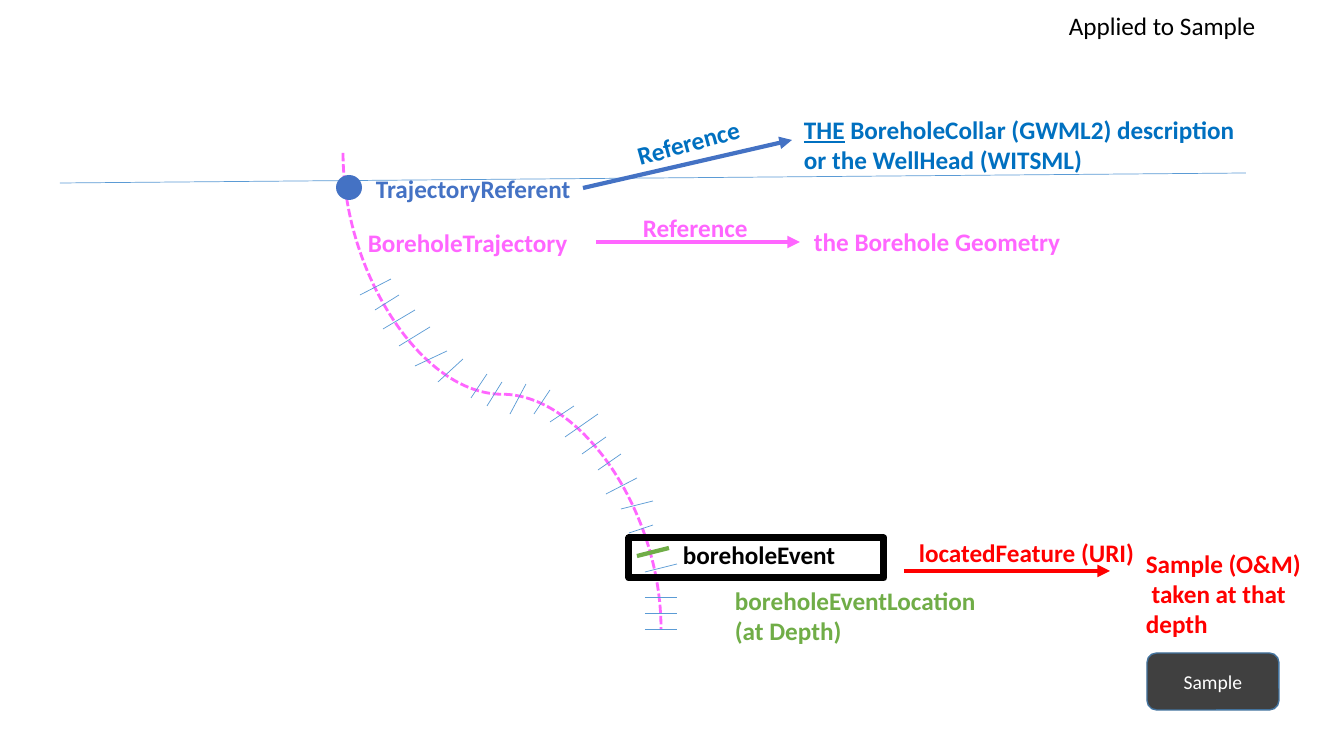
import pptx
import pptx.dml.color
import pptx.enum.dml
import pptx.enum.shapes
import pptx.enum.text
import pptx.oxml
import pptx.oxml.ns
import pptx.util

EMU_PER_PX = 914400 / 100.8
FONT = "Calibri"
COLOURS = {
    "pink": "FF66FF",
    "tick": "5B9BD5",
    "green": "70AD47",
    "referent": "4472C4",
    "collar": "0070C0",
    "red": "FF0000",
    "black": "000000",
    "white": "FFFFFF",
    "sample": "404040",
    "sample_edge": "43739E",
}
SLOPED_TICKS = [
    (360, 295, 391, 279), (375, 310, 399, 295), (383, 329, 415, 310),
    (399, 346, 430, 327), (415, 366, 447, 351), (438, 382, 463, 359),
    (471, 398, 487, 374), (487, 406, 502, 382), (510, 414, 526, 384),
    (534, 414, 550, 390), (550, 422, 574, 406), (565, 437, 598, 414),
    (582, 454, 606, 437), (598, 470, 621, 454), (606, 494, 637, 478),
    (621, 509, 653, 501), (629, 533, 653, 525), (637, 557, 669, 549),
    (645, 572, 677, 564),
]
FLAT_TICKS = [(645, 597 + 16 * step, 677, 597 + 16 * step) for step in range(3)]
GROUND = (60, 183, 1246, 173)


def px(length):
    return pptx.util.Emu(round(length * EMU_PER_PX))


def rgb(colour):
    return pptx.dml.color.RGBColor.from_string(COLOURS[colour])


def add_line(page, ends, colour, weight, arrow=False, curved=False):
    kinds = pptx.enum.shapes.MSO_CONNECTOR
    kind = kinds.CURVE if curved else kinds.STRAIGHT
    line = page.shapes.add_connector(kind, *map(px, ends))
    line.line.color.rgb = rgb(colour)
    line.line.width = pptx.util.Pt(weight)
    properties = line._element.spPr
    if arrow:
        outline = properties.find(pptx.oxml.ns.qn("a:ln"))
        head = pptx.oxml.parse_xml(
            f'<a:tailEnd {pptx.oxml.ns.nsdecls("a")} type="triangle"/>')
        outline.append(head)
    properties.append(pptx.oxml.parse_xml(
        f'<a:effectLst {pptx.oxml.ns.nsdecls("a")}/>'))
    return line


def add_trajectory(page):
    """Draw the dashed S-curve: a sideways curve turned to run downwards."""
    curve = add_line(page, (740, 232, 264, 550), "pink", 2, curved=True)
    curve.line.dash_style = pptx.enum.dml.MSO_LINE.SQUARE_DOT
    properties = curve._element.spPr
    properties.find(pptx.oxml.ns.qn("a:xfrm")).set("rot", str(270 * 60000))
    adjustments = properties.find(".//" + pptx.oxml.ns.qn("a:avLst"))
    adjustments.append(pptx.oxml.parse_xml(
        f'<a:gd {pptx.oxml.ns.nsdecls("a")} name="adj1" fmla="val 50700"/>'))


def add_span(para, text, colour, size=18, bold=True, underline=False):
    span = para.add_run()
    span.text = text
    font = span.font
    font.name = FONT
    font.size = pptx.util.Pt(size)
    font.color.rgb = rgb(colour)
    font.bold = bold
    if underline:
        font.underline = True


def add_label(page, area, lines, colour, bold=True, wrap=False, rotation=0):
    """Add a text box; a line is a list of (text, underlined) spans or a string."""
    box = page.shapes.add_textbox(*map(px, area))
    box.rotation = rotation
    frame = box.text_frame
    frame.word_wrap = wrap
    frame.auto_size = pptx.enum.text.MSO_AUTO_SIZE.SHAPE_TO_FIT_TEXT
    for index, line in enumerate(lines):
        para = frame.add_paragraph() if index else frame.paragraphs[0]
        spans = [(line, False)] if isinstance(line, str) else line
        for text, underline in spans:
            add_span(para, text, colour, bold=bold, underline=underline)


def add_figure(page, kind, area, fill=None, edge=None, weight=1):
    figure = page.shapes.add_shape(kind, *map(px, area))
    figure.shadow.inherit = False
    if fill:
        figure.fill.solid()
        figure.fill.fore_color.rgb = rgb(fill)
    else:
        figure.fill.background()
    if edge:
        figure.line.color.rgb = rgb(edge)
        figure.line.width = pptx.util.Pt(weight)
    else:
        figure.line.fill.background()
    return figure


def add_sample(page, kind):
    sample = add_figure(page, kind, (1147, 653, 132, 57), "sample", "sample_edge")
    frame = sample.text_frame
    frame.vertical_anchor = pptx.enum.text.MSO_ANCHOR.MIDDLE
    para = frame.paragraphs[0]
    para.alignment = pptx.enum.text.PP_ALIGN.CENTER
    add_span(para, "Sample", "white", size=14, bold=False)


def main():
    deck = pptx.Presentation()
    deck.slide_width, deck.slide_height = px(1344), px(756)
    page = deck.slides.add_slide(deck.slide_layouts[6])
    kinds = pptx.enum.shapes.MSO_SHAPE

    add_trajectory(page)
    for ends in SLOPED_TICKS + FLAT_TICKS + [GROUND]:
        add_line(page, ends, "tick", 0.5)

    add_label(page, (725, 580, 263, 72),
              ["boreholeEventLocation", "(at Depth)"], "green")
    add_line(page, (637, 556, 669, 548), "green", 3)

    add_figure(page, kinds.OVAL, (336, 175, 26, 25), "referent")
    add_label(page, (366, 168, 217, 40), ["TrajectoryReferent"], "referent")
    add_line(page, (583, 188, 792, 140), "referent", 3, arrow=True)
    add_label(page, (626, 122, 126, 40), ["Reference"], "collar", rotation=344.6)
    add_label(page, (794, 109, 455, 72),
              [[("THE", True), (" BoreholeCollar (GWML2) description", False)],
               "or the WellHead (WITSML)"], "collar")

    add_label(page, (358, 222, 222, 40), ["BoreholeTrajectory"], "pink")
    add_line(page, (596, 242, 800, 242), "pink", 3, arrow=True)
    add_label(page, (633, 207, 126, 40), ["Reference"], "pink")
    add_label(page, (804, 221, 268, 40), ["the Borehole Geometry"], "pink")

    add_label(page, (1059, 5, 285, 40), ["Applied to Sample"], "black",
              bold=False, wrap=True)

    add_label(page, (673, 534, 173, 40), ["boreholeEvent"], "black")
    add_figure(page, kinds.RECTANGLE, (629, 538, 255, 40), edge="black", weight=5)
    add_line(page, (904, 571, 1110, 571), "red", 3, arrow=True)
    add_label(page, (909, 532, 237, 40), ["locatedFeature (URI)"], "red")
    add_label(page, (1136, 543, 177, 102),
              ["Sample (O&M)", " taken at that", "depth"], "red")
    add_sample(page, kinds.ROUNDED_RECTANGLE)

    deck.save("out.pptx")


if __name__ == "__main__":
    main()
